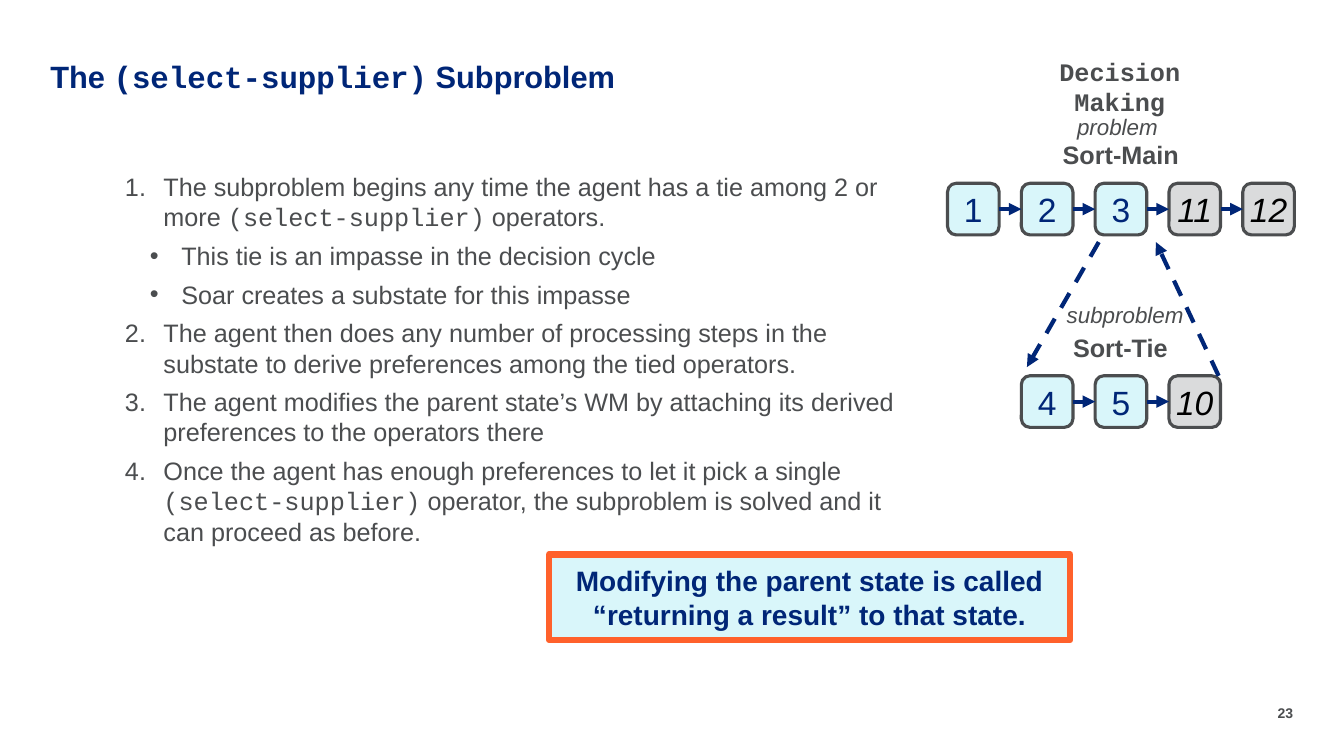
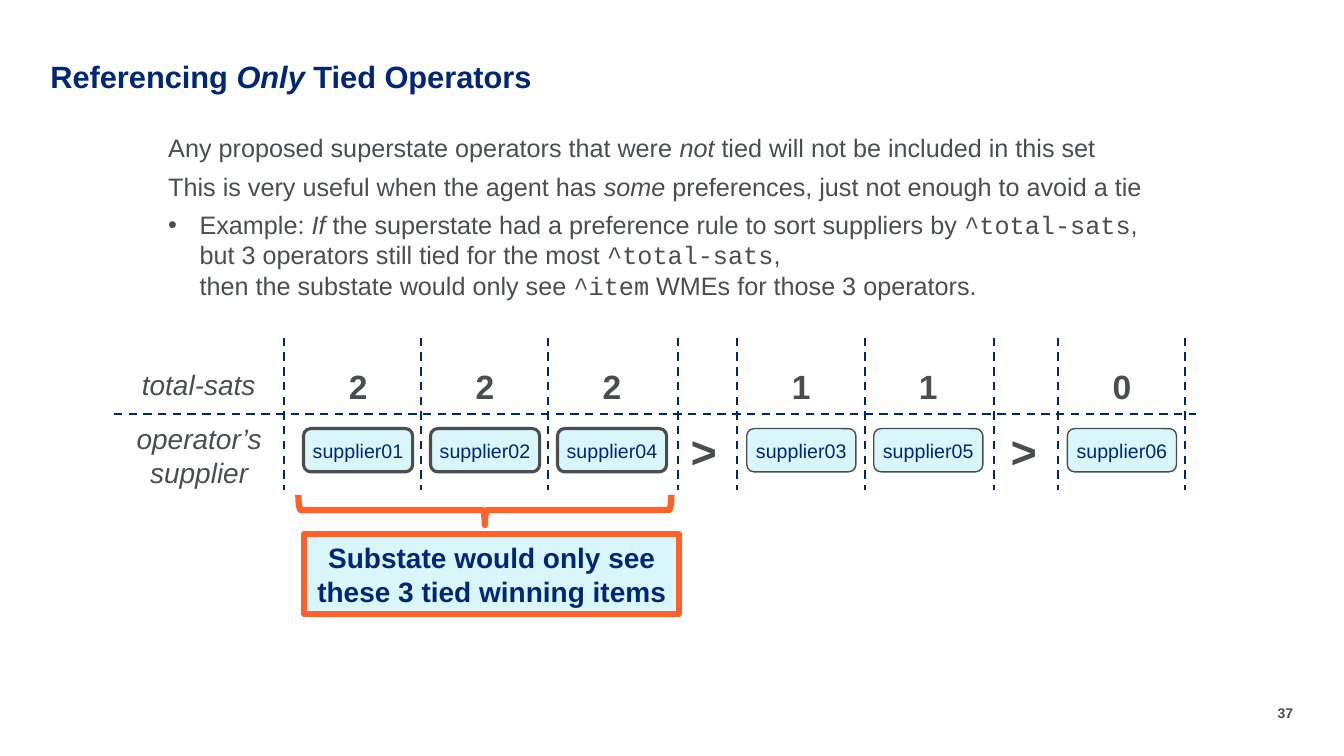
"""Builds two slides on subproblems and tied operators in a decision-making agent."""
from itertools import pairwise

from lxml import etree
from pptx import Presentation
from pptx.dml.color import RGBColor
from pptx.enum.dml import MSO_LINE
from pptx.enum.shapes import MSO_CONNECTOR, MSO_SHAPE
from pptx.enum.text import MSO_ANCHOR, MSO_AUTO_SIZE, PP_ALIGN
from pptx.oxml.ns import qn
from pptx.util import Cm, Pt

NAVY = RGBColor(0x00, 0x26, 0x77)
GRAY = RGBColor(0x4B, 0x4D, 0x4F)
BLACK = RGBColor(0x00, 0x00, 0x00)
PALE_BLUE = RGBColor(0xD9, 0xF6, 0xFA)
PALE_GRAY = RGBColor(0xDA, 0xDB, 0xDC)
ORANGE = RGBColor(0xFF, 0x61, 0x2B)

LEFT, CENTER, RIGHT = PP_ALIGN.LEFT, PP_ALIGN.CENTER, PP_ALIGN.RIGHT
TOP, MIDDLE = MSO_ANCHOR.TOP, MSO_ANCHOR.MIDDLE
STRAIGHT, DASH = MSO_CONNECTOR.STRAIGHT, MSO_LINE.DASH
RECTANGLE, ROUNDED = MSO_SHAPE.RECTANGLE, MSO_SHAPE.ROUNDED_RECTANGLE
BRACE = MSO_SHAPE.LEFT_BRACE
TOP_SIDE, LEFT_SIDE, BOTTOM_SIDE, RIGHT_SIDE = range(4)

SANS, MONO = "Arial", "Courier New"
PLAIN, ITALIC, CODE = "plain", "italic", "code"
NUMBERED, SUB_BULLET, BULLET, NO_BULLET = "numbered", "sub", "bullet", "none"
INDENTS = {NUMBERED: (0.97, -0.97), SUB_BULLET: (1.42, -0.79),
           BULLET: (0.79, -0.79), NO_BULLET: (0, 0)}

TITLE_BOX = (1.27, 1.55, 26.67, 0.84)
PAGE_NUMBER_BOX = (32.16, 17.75, 0.43, 0.43)

SUBPROBLEM = {
    "page": "23",
    "title": [("The ", PLAIN), ("(select-supplier)", CODE), (" Subproblem", PLAIN)],
    "body_box": (3.15, 4.32, 19.86, 10.92),
    "body": [
        (NUMBERED, [("The subproblem begins any time the agent has a tie among 2 or more ", PLAIN),
                    ("(select-supplier)", CODE), (" operators.", PLAIN)]),
        (SUB_BULLET, [("This tie is an impasse in the decision cycle", PLAIN)]),
        (SUB_BULLET, [("Soar creates a substate for this impasse", PLAIN)]),
        (NUMBERED, [("The agent then does any number of processing steps in the substate "
                     "to derive preferences among the tied operators.", PLAIN)]),
        (NUMBERED, [("The agent modifies the parent state’s WM by attaching its derived "
                     "preferences to the operators there", PLAIN)]),
        (NUMBERED, [("Once the agent has enough preferences to let it pick a single ", PLAIN),
                    ("(select-supplier)", CODE),
                    (" operator, the subproblem is solved and it can proceed as before.", PLAIN)]),
    ],
    "callout": "Modifying the parent state is called “returning a result” to that state.",
    "callout_box": (13.84, 13.97, 13.13, 2.16),
}
TIED_OPERATORS = {
    "page": "37",
    "title": [("Referencing ", PLAIN), ("Only", ITALIC), (" Tied Operators", PLAIN)],
    "body_box": (4.24, 3.33, 25.4, 9.93),
    "body": [
        (NO_BULLET, [("Any proposed superstate operators that were ", PLAIN), ("not", ITALIC),
                     (" tied will not be included in this set", PLAIN)]),
        (NO_BULLET, [("This is very useful when the agent has ", PLAIN), ("some ", ITALIC),
                     ("preferences, just not enough to avoid a tie", PLAIN)]),
        (BULLET, [("Example: ", PLAIN), ("If", ITALIC),
                  (" the superstate had a preference rule to sort suppliers by ", PLAIN),
                  ("^total-sats", CODE),
                  (", \nbut 3 operators still tied for the most ", PLAIN),
                  ("^total-sats", CODE),
                  (", \nthen the substate would only see ", PLAIN),
                  ("^item", CODE), (" WMEs for those 3 operators.", PLAIN)]),
    ],
    "callout": "Substate would only see these 3 tied winning items",
    "callout_box": (7.67, 13.46, 9.45, 2.01),
}

STEP_LEFT, STEP_PITCH, STEP_SIZE = 23.88, 1.86, 1.3
STEP_ROWS = [(4.62, 0, ["1", "2", "3", "11", "12"]), (9.47, 1, ["4", "5", "10"])]
RETURN_STEPS = {"10", "11", "12"}
SUBPROBLEM_ARROWS = [((27.69, 6.1), (25.88, 9.25)), ((30.71, 9.47), (29.13, 6.1))]
PROBLEM_LABELS = [
    ("Sort-Main", (26.77, 3.51, 2.95, 0.76), 18, PLAIN, True),
    ("Sort-Tie", (27.03, 8.38, 2.41, 0.76), 18, PLAIN, True),
    ("problem", (27.13, 2.84, 2.06, 0.69), 16, ITALIC, False),
    ("subproblem", (26.87, 7.59, 2.97, 0.69), 16, ITALIC, False),
]
HEADING = ("Decision Making", (25.58, 1.42, 5.28, 0.76))

SUPPLIER_GROUPS = [
    (7.65, "2", 2.25, ["supplier01", "supplier02", "supplier04"]),
    (18.82, "1", 1, ["supplier03", "supplier05"]),
    (26.9, "0", 1, ["supplier06"]),
]
SUPPLIER_PITCH, SUPPLIER_WIDTH, SUPPLIER_TOP, SUPPLIER_HEIGHT = 3.2, 2.75, 10.8, 1.09
SATS_TOP, SATS_HEIGHT = 9.22, 1.02
GREATER_LEFTS = [17.42, 25.48]
DIVIDERS = [7.16, 10.62, 13.82, 17.09, 18.57, 21.79, 25.04, 26.67, 29.87]
DIVIDER_TOP, DIVIDER_BOTTOM = 8.51, 12.34
ROW_LINE = ((2.87, 10.44), (30.15, 10.44))
ROW_LABELS = [("total-sats", (3.56, 9.27, 2.9, 0.86)),
              ("operator’s\nsupplier", (3.43, 10.62, 3.18, 1.7))]
BRACE_BOX = (11.84, 8.15, 0.76, 9.4)


def add_runs(paragraph, runs, size, color, bold=False):
    for text, style in runs:
        for index, line in enumerate(text.split("\n")):
            if index:
                paragraph.add_line_break()
            run = paragraph.add_run()
            run.text = line
            font = run.font
            font.name = MONO if style == CODE else SANS
            font.size, font.bold, font.italic = Pt(size), bold, style == ITALIC
            font.color.rgb = color


def place(shape, box):
    shape.left, shape.top, shape.width, shape.height = map(Cm, box)


def set_frame(frame, anchor=TOP, wrap=True, insets=(0, 0)):
    frame.auto_size = MSO_AUTO_SIZE.NONE
    frame.word_wrap, frame.vertical_anchor = wrap, anchor
    frame.margin_left = frame.margin_right = Cm(insets[0])
    frame.margin_top = frame.margin_bottom = Cm(insets[1])


def set_bullet(paragraph, kind):
    properties = paragraph._p.get_or_add_pPr()
    margin, indent = INDENTS[kind]
    properties.set("marL", str(Cm(margin)))
    properties.set("indent", str(Cm(indent)))
    if kind == NO_BULLET:
        etree.SubElement(properties, qn("a:buNone"))
    elif kind == NUMBERED:
        etree.SubElement(properties, qn("a:buFont"), typeface=SANS)
        etree.SubElement(properties, qn("a:buAutoNum"), type="arabicPeriod")
    else:
        etree.SubElement(properties, qn("a:buFont"), typeface=SANS)
        etree.SubElement(properties, qn("a:buChar"), char="•")


def add_label(slide, text, box, size, style=PLAIN, bold=False, align=CENTER, wrap=False):
    label = slide.shapes.add_textbox(*map(Cm, box))
    set_frame(label.text_frame, wrap=wrap)
    paragraph = label.text_frame.paragraphs[0]
    paragraph.alignment = align
    add_runs(paragraph, [(text, style)], size, GRAY, bold)


def add_box(slide, preset, box, text, size, fill, border, weight,
            color=NAVY, style=PLAIN, bold=False, insets=(0, 0.13)):
    shape = slide.shapes.add_shape(preset, *map(Cm, box))
    shape.shadow.inherit = False
    shape.fill.solid()
    shape.fill.fore_color.rgb = fill
    shape.line.color.rgb, shape.line.width = border, Pt(weight)
    set_frame(shape.text_frame, MIDDLE, insets=insets)
    paragraph = shape.text_frame.paragraphs[0]
    paragraph.alignment = CENTER
    add_runs(paragraph, [(text, style)], size, color, bold)
    return shape


def add_line(slide, start, end, weight, dashed=False, arrow=False):
    line = slide.shapes.add_connector(STRAIGHT, *map(Cm, (*start, *end)))
    line.line.color.rgb, line.line.width = NAVY, Pt(weight)
    if dashed:
        line.line.dash_style = DASH
    if arrow:
        etree.SubElement(line.line._get_or_add_ln(), qn("a:tailEnd"), type="triangle")
    etree.SubElement(line._element.spPr, qn("a:effectLst"))
    return line


def add_base(deck, content):
    slide = deck.slides.add_slide(deck.slide_layouts[1])
    title, body = slide.shapes.title, slide.placeholders[1]
    place(title, TITLE_BOX)
    set_frame(title.text_frame)
    heading = title.text_frame.paragraphs[0]
    heading.alignment, heading.line_spacing = LEFT, 0.9
    add_runs(heading, content["title"], 22, NAVY, True)

    place(body, content["body_box"])
    set_frame(body.text_frame)
    for index, (kind, runs) in enumerate(content["body"]):
        paragraph = body.text_frame.add_paragraph() if index else body.text_frame.paragraphs[0]
        paragraph.level = int(kind == SUB_BULLET)
        set_bullet(paragraph, kind)
        paragraph.space_before = Pt(6 if index else 0)
        add_runs(paragraph, runs, 18, GRAY)

    add_label(slide, content["page"], PAGE_NUMBER_BOX, 10, bold=True, align=RIGHT)
    return slide


def add_callout(slide, content):
    add_box(slide, RECTANGLE, content["callout_box"], content["callout"], 20,
            PALE_BLUE, ORANGE, 4.5, bold=True, insets=(0.25, 0.13))


def build_subproblem(deck):
    slide = add_base(deck, SUBPROBLEM)
    for top, first_column, numbers in STEP_ROWS:
        steps = []
        for column, number in enumerate(numbers, first_column):
            box = (STEP_LEFT + column * STEP_PITCH, top, STEP_SIZE, STEP_SIZE)
            fill, color, style = ((PALE_GRAY, BLACK, ITALIC) if number in RETURN_STEPS
                                  else (PALE_BLUE, NAVY, PLAIN))
            steps.append(add_box(slide, ROUNDED, box, number, 24, fill, GRAY, 2.25, color, style))
        for step, following in pairwise(steps):
            arrow = add_line(slide, (0, 0), (1, 1), 3, arrow=True)
            arrow.begin_connect(step, RIGHT_SIDE)
            arrow.end_connect(following, LEFT_SIDE)
    for start, end in SUBPROBLEM_ARROWS:
        add_line(slide, start, end, 3, dashed=True, arrow=True)
    for text, box, size, style, bold in PROBLEM_LABELS:
        add_label(slide, text, box, size, style, bold)
    add_label(slide, *HEADING, 18, CODE, True, wrap=True)
    add_callout(slide, SUBPROBLEM)


def build_tied_operators(deck):
    slide = add_base(deck, TIED_OPERATORS)
    for group_left, sats, weight, suppliers in SUPPLIER_GROUPS:
        for index, supplier in enumerate(suppliers):
            left = group_left + index * SUPPLIER_PITCH
            add_box(slide, ROUNDED, (left, SUPPLIER_TOP, SUPPLIER_WIDTH, SUPPLIER_HEIGHT),
                    supplier, 14, PALE_BLUE, GRAY, weight)
            add_label(slide, sats, (left, SATS_TOP, SUPPLIER_WIDTH, SATS_HEIGHT), 24, bold=True)
    for left in GREATER_LEFTS:
        add_label(slide, ">", (left, 10.67, 0.64, 1.37), 32, CODE, True)
    add_line(slide, *ROW_LINE, 1.5, dashed=True)
    for x in DIVIDERS:
        add_line(slide, (x, DIVIDER_TOP), (x, DIVIDER_BOTTOM), 1.5, dashed=True)
    for text, box in ROW_LABELS:
        add_label(slide, text, box, 20, ITALIC)

    brace = slide.shapes.add_shape(BRACE, *map(Cm, BRACE_BOX))
    brace.rotation = 270
    brace.shadow.inherit = False
    brace.fill.background()
    brace.line.color.rgb, brace.line.width = ORANGE, Pt(4.5)
    add_callout(slide, TIED_OPERATORS)


def main():
    deck = Presentation()
    deck.slide_width, deck.slide_height = Cm(33.87), Cm(19.05)
    build_subproblem(deck)
    build_tied_operators(deck)
    deck.save("out.pptx")


if __name__ == "__main__":
    main()
